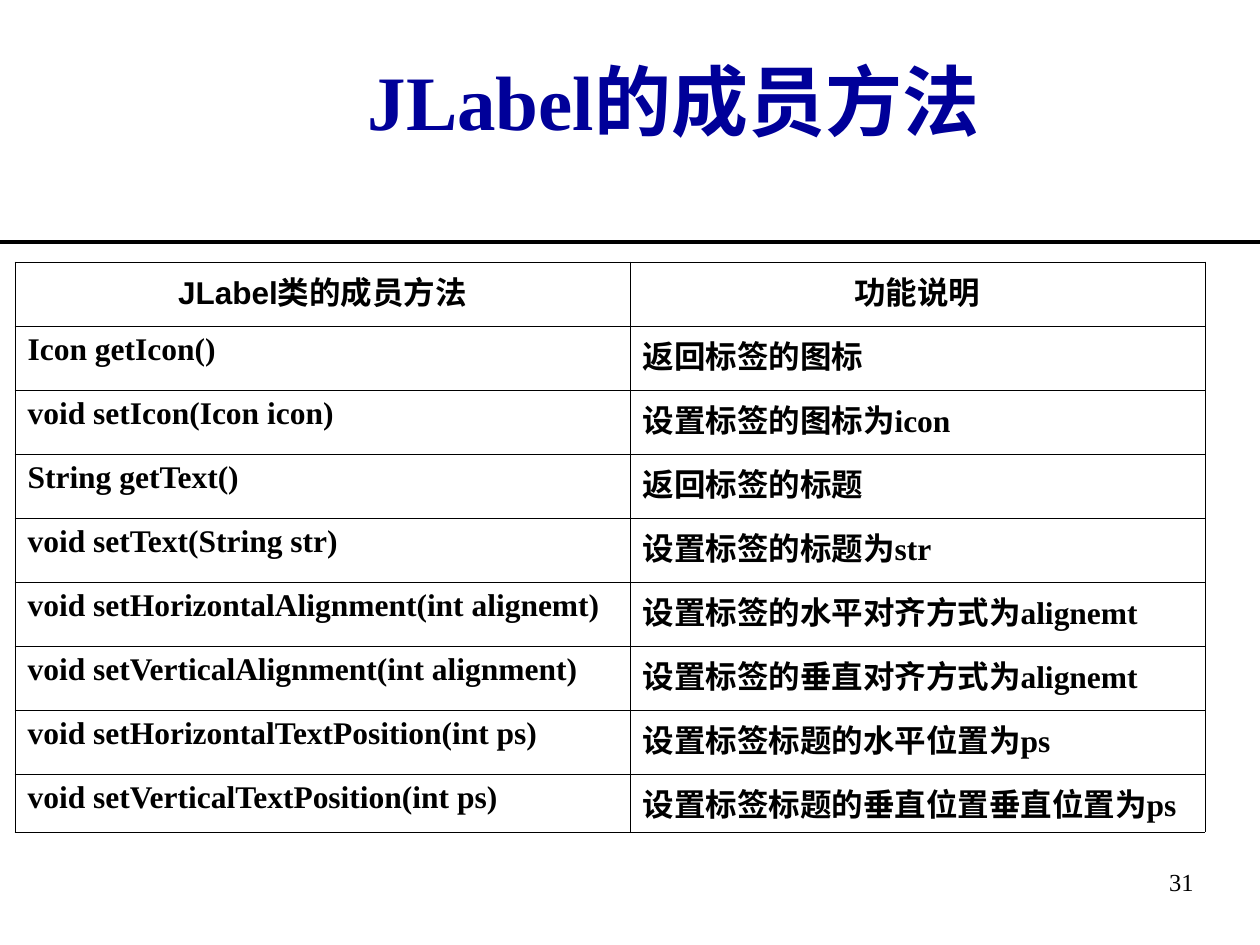
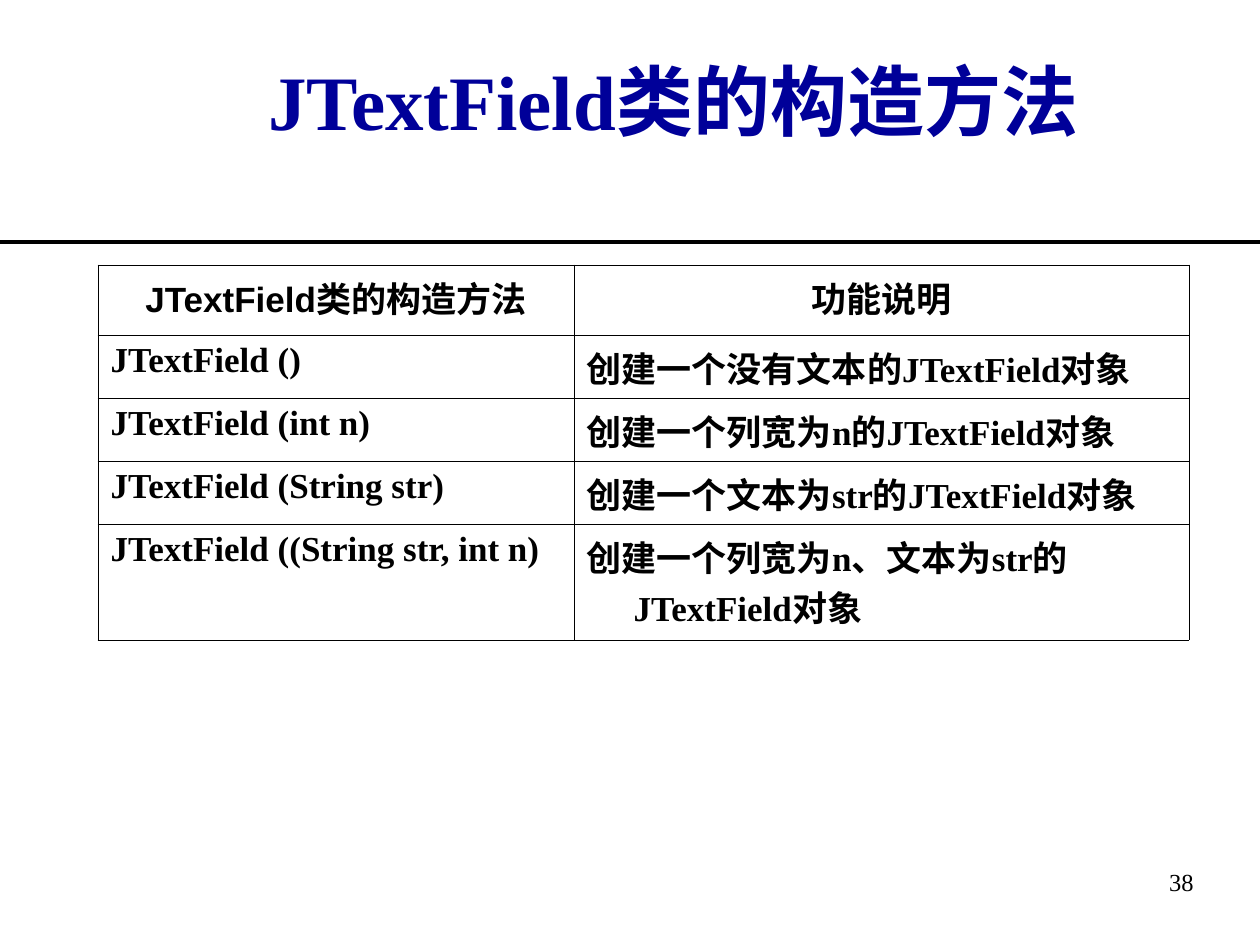
"""Build two slides that list Swing class methods in bordered tables."""
from lxml.etree import SubElement
from pptx import Presentation
from pptx.dml.color import RGBColor
from pptx.enum.lang import MSO_LANGUAGE_ID
from pptx.enum.shapes import MSO_CONNECTOR
from pptx.enum.text import MSO_ANCHOR, PP_ALIGN
from pptx.oxml.ns import qn
from pptx.util import Pt

SLIDES = [
    {
        "title": "JLabel的成员方法 ",
        "number": "31",
        "origin": (15, 262),
        "columns": (615, 575),
        "row_heights": [64] * 8 + [58],
        "size": 18,
        "rows": [
            ("JLabel类的成员方法", "功能说明"),
            ("Icon getIcon()", "返回标签的图标"),
            ("void setIcon(Icon icon)", "设置标签的图标为icon"),
            ("String getText()", "返回标签的标题"),
            ("void setText(String str)", "设置标签的标题为str"),
            ("void setHorizontalAlignment(int alignemt)", "设置标签的水平对齐方式为alignemt"),
            ("void setVerticalAlignment(int alignment)", "设置标签的垂直对齐方式为alignemt"),
            ("void setHorizontalTextPosition(int ps)", "设置标签标题的水平位置为ps"),
            ("void setVerticalTextPosition(int ps)", "设置标签标题的垂直位置垂直位置为ps"),
        ],
    },
    {
        "title": "JTextField类的构造方法 ",
        "number": "38",
        "origin": (98, 265),
        "columns": (476, 615),
        "row_heights": [70, 63, 63, 63, 116],
        "size": 20,
        "rows": [
            ("JTextField类的构造方法", "功能说明"),
            ("JTextField ()", "创建一个没有文本的JTextField对象"),
            ("JTextField (int n)", "创建一个列宽为n的JTextField对象"),
            ("JTextField (String str)", "创建一个文本为str的JTextField对象"),
            ("JTextField ((String str, int n)", "创建一个列宽为n、文本为str的JTextField对象"),
        ],
    },
]

SLIDE_WIDTH, SLIDE_HEIGHT = 1260, 945
TITLE_AREA = (147, 21, 1071, 158)
NUMBER_AREA = (1133, 861, 73, 84)
RULE_TOP = 242
HANGING_INDENT = 47
BORDER_WIDTH = Pt(0.45)
NAVY = RGBColor(0x00, 0x00, 0x99)
BLACK = RGBColor(0x00, 0x00, 0x00)
SERIF, SANS = "Times New Roman", "Arial"


def px(length):
    return round(length * 914400 / 126)


def write(frame, text, size, align, font=SERIF, color=BLACK, bold=False):
    paragraph = frame.paragraphs[0]
    paragraph.text = text
    paragraph.alignment = align
    for span in paragraph.runs:
        span.font.name = font
        span.font.size = Pt(size)
        span.font.bold = bold
        span.font.color.rgb = color
        span.font.language_id = MSO_LANGUAGE_ID.SIMPLIFIED_CHINESE
    return paragraph


def add_text(page, area, text, size, align, anchor=MSO_ANCHOR.TOP, **style):
    frame = page.shapes.add_textbox(*map(px, area)).text_frame
    frame.word_wrap = True
    frame.vertical_anchor = anchor
    write(frame, text, size, align, **style)


def add_rule(page):
    rule = page.shapes.add_connector(
        MSO_CONNECTOR.STRAIGHT, 0, px(RULE_TOP), px(SLIDE_WIDTH), px(RULE_TOP))
    rule.line.color.rgb = BLACK
    rule.line.width = Pt(2.25)
    SubElement(rule._element.spPr, qn("a:effectLst"))


def add_borders(cell):
    properties = cell._tc.get_or_add_tcPr()
    for side in ("lnL", "lnR", "lnT", "lnB"):
        line = SubElement(properties, qn(f"a:{side}"), w=str(BORDER_WIDTH))
        fill = SubElement(line, qn("a:solidFill"))
        SubElement(fill, qn("a:srgbClr"), val=str(BLACK))


def add_method_table(page, content):
    rows, columns, heights = content["rows"], content["columns"], content["row_heights"]
    area = (*content["origin"], sum(columns), sum(heights))
    table = page.shapes.add_table(len(rows), len(columns), *map(px, area)).table
    table.first_row = table.horz_banding = False
    for column, width in zip(table.columns, columns):
        column.width = px(width)
    for row, height in zip(table.rows, heights):
        row.height = px(height)
    for row_index, texts in enumerate(rows):
        font, align = (SERIF, PP_ALIGN.LEFT) if row_index else (SANS, PP_ALIGN.CENTER)
        for column_index, text in enumerate(texts):
            cell = table.cell(row_index, column_index)
            add_borders(cell)
            cell.fill.background()
            paragraph = write(cell.text_frame, text, content["size"], align, font, bold=True)
            properties = paragraph._p.get_or_add_pPr()
            properties.set("marL", str(px(HANGING_INDENT)))
            properties.set("indent", str(-px(HANGING_INDENT)))


def main():
    deck = Presentation()
    deck.slide_width, deck.slide_height = px(SLIDE_WIDTH), px(SLIDE_HEIGHT)
    for content in SLIDES:
        page = deck.slides.add_slide(deck.slide_layouts[6])
        add_text(page, TITLE_AREA, content["title"], 44, PP_ALIGN.CENTER,
                 MSO_ANCHOR.MIDDLE, color=NAVY, bold=True)
        add_method_table(page, content)
        add_rule(page)
        add_text(page, NUMBER_AREA, content["number"], 14, PP_ALIGN.RIGHT)
    deck.save("out.pptx")


if __name__ == "__main__":
    main()
